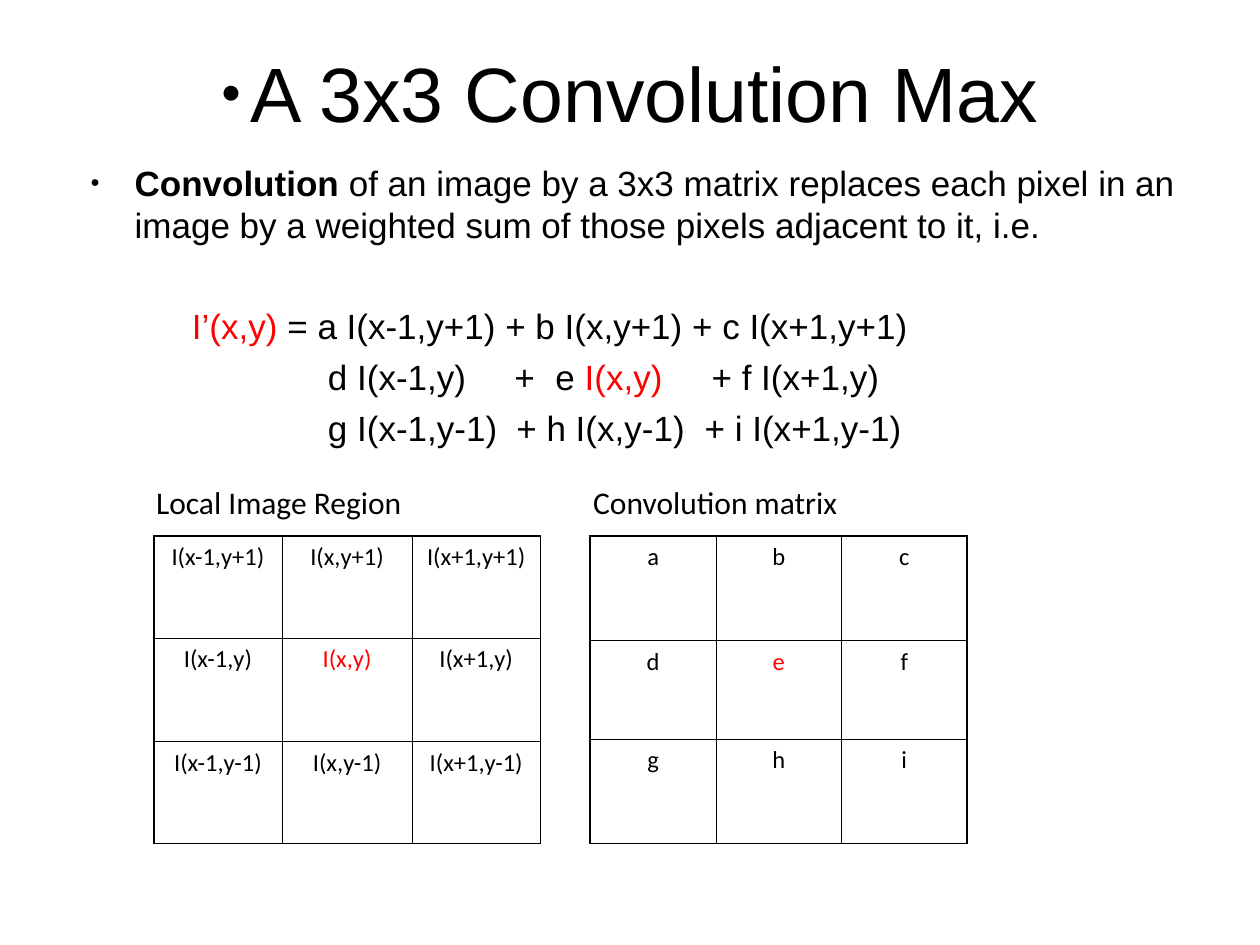
from lxml.etree import SubElement
from pptx import Presentation
from pptx.dml.color import RGBColor
from pptx.enum.text import MSO_ANCHOR as Anchor, PP_ALIGN as Align
from pptx.oxml import parse_xml
from pptx.oxml.ns import nsdecls, qn
from pptx.util import Inches, Pt

BLACK = RGBColor(0, 0, 0)
RED = RGBColor(255, 0, 0)
THIN, THICK = 0.45, 1.08
COLUMNS = 100

TITLE = "A 3x3 Convolution Max"
DEFINITION = [
    ("Convolution", {"bold": True}),
    (" of an image by a 3x3 matrix replaces each pixel in an image"
     " by a weighted sum of those pixels adjacent to it, i.e.", {}),
]
EQUATIONS = [
    ([("\t", {}), ("I’(x,y)", {"color": RED}),
      (" = a I(x-1,y+1) + b I(x,y+1) + c I(x+1,y+1)", {})], [9.25], 34),
    ([("\td I(x-1,y)\t+\te ", {}), ("I(x,y)", {"color": RED}),
      ("\t+ f I(x+1,y)", {})], [20.05, 34.85, 38.1, 50.5], 5),
    ([("\tg I(x-1,y-1)\t+ h I(x,y-1)\t+ i I(x+1,y-1)", {})],
     [20.05, 35, 49.95], 5),
]
GRIDS = [
    {"label": "Local Image Region", "label_left": 11.4, "label_width": 21.5,
     "left": 12.2, "widths": [10.2, 10.3, 10.2], "heights": [8.1, 8.2, 8.1],
     "cells": [["I(x-1,y+1)", "I(x,y+1)", "I(x+1,y+1)"],
               ["I(x-1,y)", "I(x,y)", "I(x+1,y)"],
               ["I(x-1,y-1)", "I(x,y-1)", "I(x+1,y-1)"]]},
    {"label": "Convolution matrix", "label_left": 46.1, "label_width": 21.4,
     "left": 46.85, "widths": [9.97, 9.97, 9.97], "heights": [8.3, 7.8, 8.3],
     "cells": ["abc", "def", "ghi"]},
]

deck = Presentation()
deck.slide_width, deck.slide_height = Inches(10), Inches(7.5)
slide = deck.slides.add_slide(deck.slide_layouts[6])
unit = deck.slide_width / COLUMNS


def span(steps):
    return round(steps * unit)


def write(paragraph, text, size=20, font="Arial", color=BLACK, align=Align.LEFT,
          before=0, bullet_indent=None, tabs=()):
    paragraph.alignment = align
    if before:
        paragraph.space_before = Pt(before)
    properties = paragraph._p.get_or_add_pPr()
    if bullet_indent:
        margin, hanging = bullet_indent
        properties.set("marL", str(span(margin)))
        properties.set("indent", str(-span(hanging)))
        color_mark = SubElement(properties, qn("a:buClr"))
        SubElement(color_mark, qn("a:srgbClr"), val=str(BLACK))
        SubElement(properties, qn("a:buSzPct"), val="45000")
        SubElement(properties, qn("a:buFont"), typeface="Arial")
        SubElement(properties, qn("a:buChar"), char="●")
    if tabs:
        stops = SubElement(properties, qn("a:tabLst"))
        for stop in tabs:
            SubElement(stops, qn("a:tab"), pos=str(span(stop)), algn="l")
    pieces = [(text, {})] if isinstance(text, str) else text
    for words, look in pieces:
        run = paragraph.add_run()
        run.text = words
        run.font.name, run.font.size = font, Pt(size)
        run.font.bold = look.get("bold", False)
        run.font.color.rgb = look.get("color", color)


def add_frame(left, top, width, height):
    frame = slide.shapes.add_textbox(*map(span, (left, top, width, height))).text_frame
    frame.word_wrap = True
    return frame


def add_label(text, left, top, width, height):
    x, y, right, bottom = map(span, (left, top, left + width, top + height))
    outline = slide.shapes.build_freeform(x, y)
    outline.add_line_segments([(right, y), (right, bottom), (x, bottom)], close=True)
    label = outline.convert_to_shape()
    label.shadow.inherit = False
    label.fill.background()
    label.line.fill.background()
    label.text_frame.word_wrap = False
    label.text_frame.vertical_anchor = Anchor.TOP
    write(label.text_frame.paragraphs[0], text, size=18, font="Calibri")


def draw_borders(cell, row, column, last):
    sides = {"lnL": column == 0, "lnR": column == last,
             "lnT": row == 0, "lnB": row == last}
    properties = cell._tc.get_or_add_tcPr()
    for place, (side, outer) in enumerate(sides.items()):
        weight = Pt(THICK if outer else THIN)
        properties.insert(place, parse_xml(
            f'<a:{side} {nsdecls("a")} w="{weight}"><a:solidFill>'
            f'<a:srgbClr val="{BLACK}"/></a:solidFill></a:{side}>'))


def add_grid(grid):
    widths, heights, last = grid["widths"], grid["heights"], len(grid["widths"]) - 1
    table = slide.shapes.add_table(
        len(heights), len(widths),
        *map(span, (grid["left"], 42.55, sum(widths), sum(heights)))).table
    table.first_row = table.horz_banding = False
    for column, width in zip(table.columns, widths):
        column.width = span(width)
    for row, height in zip(table.rows, heights):
        row.height = span(height)
    for r, entries in enumerate(grid["cells"]):
        for c, entry in enumerate(entries):
            cell = table.cell(r, c)
            cell.fill.background()
            draw_borders(cell, r, c, last)
            write(cell.text_frame.paragraphs[0], entry, size=14, font="Calibri",
                  color=RED if r == c == 1 else BLACK, align=Align.CENTER)


title = add_frame(5, 3, 90, 8.5)
title.vertical_anchor = Anchor.MIDDLE
write(title.paragraphs[0], TITLE, size=44, align=Align.CENTER, bullet_indent=(2.4, 2.4))

body = add_frame(5, 12.3, 93, 60.6)
write(body.paragraphs[0], DEFINITION, bullet_indent=(4.7, 3.5))
for equation, tabs, before in EQUATIONS:
    write(body.add_paragraph(), equation, before=before, tabs=tabs)

for grid in GRIDS:
    add_grid(grid)
for grid in GRIDS:
    add_label(grid["label"], grid["label_left"], 37.85, grid["label_width"], 4)

deck.save("out.pptx")
